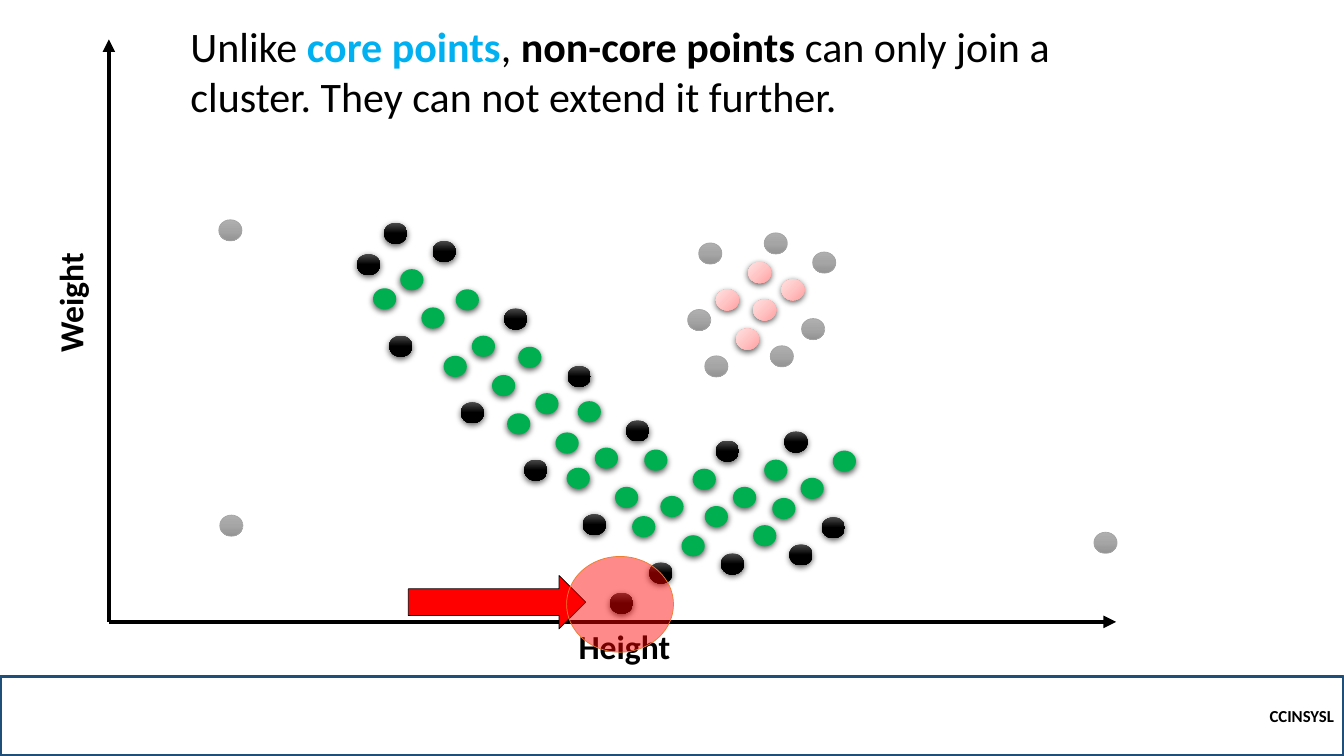
from dataclasses import dataclass

import lxml.etree
import pptx
import pptx.dml.color
import pptx.enum.shapes
import pptx.enum.text
import pptx.oxml.ns
import pptx.util
from pptx.util import Inches

SHAPES = pptx.enum.shapes.MSO_SHAPE
ALIGN = pptx.enum.text.PP_ALIGN
qn = pptx.oxml.ns.qn


@dataclass(frozen=True)
class Theme:
    font: str = "Calibri"
    black: str = "000000"
    core_blue: str = "00B0F0"
    red: str = "FF0000"
    orange: str = "ED7D31"
    navy: str = "1F4E79"
    title_size: float = 30
    label_size: float = 24
    footer_size: float = 12
    axis_width: float = 3
    thin_width: float = 0.5


@dataclass(frozen=True)
class DotStyle:
    """One colour is a solid fill; three make a gradient at a clockwise angle."""
    colors: tuple
    angle: float = 90
    line: str = ""


THEME = Theme()
DOT_WIDTH, DOT_HEIGHT = 0.23, 0.21

CORE = DotStyle(("00B050",))
NON_CORE = DotStyle(("4B4B4B", "000000", "000000"))
OTHER_CORE = DotStyle(("FFA0A0", "FFC5C5", "FFE3E3"), angle=225)
UNASSIGNED = DotStyle(("AFAFAF", "A5A5A5", "939393"), line="A5A5A5")

# Left and top of every dot
DOTS = [
    (CORE, [
        (3.97, 2.67), (3.7, 2.86), (4.18, 3.05), (4.52, 2.87), (4.68, 3.33),
        (4.4, 3.53), (4.88, 3.72), (5.14, 3.44), (5.31, 3.9), (5.03, 4.1),
        (5.51, 4.29), (5.73, 3.98), (5.9, 4.44), (5.62, 4.64), (6.1, 4.83),
        (6.39, 4.46), (6.55, 4.92), (6.87, 4.65), (6.27, 5.12), (6.76, 5.31),
        (7.27, 4.83), (7.58, 4.56), (6.99, 5.02), (7.47, 5.21), (7.94, 4.74),
        (8.26, 4.47), (7.66, 4.94),
    ]),
    (NON_CORE, [
        (3.81, 2.21), (4.29, 2.39), (3.54, 2.52), (3.86, 3.33), (5, 3.06),
        (4.57, 3.99), (5.63, 3.63), (5.2, 4.56), (6.21, 4.17), (5.78, 5.1),
        (6.44, 5.58), (7.1, 4.37), (7.15, 5.49), (7.78, 4.28), (7.83, 5.4),
        (8.15, 5.13),
    ]),
    (OTHER_CORE, [
        (7.1, 2.87), (7.42, 2.6), (7.3, 3.26), (7.75, 2.77), (7.47, 2.97),
    ]),
    (UNASSIGNED, [
        (6.93, 2.41), (6.82, 3.07), (6.99, 3.53), (7.58, 2.31), (8.06, 2.5),
        (7.64, 3.43), (7.95, 3.16), (2.17, 2.18), (2.18, 5.11), (10.85, 5.28),
    ]),
]
JOINING_DOT = (6.05, 5.88)


def rgb(color):
    return pptx.dml.color.RGBColor.from_string(color)


def add_xml(parent, tag, **attributes):
    return lxml.etree.SubElement(parent, qn(tag), attributes)


def add_shape(slide, kind, left, top, width, height, fill="", line="", line_width=THEME.thin_width):
    shape = slide.shapes.add_shape(
        kind, Inches(left), Inches(top), Inches(width), Inches(height))
    shape.shadow.inherit = False
    if fill:
        shape.fill.solid()
        shape.fill.fore_color.rgb = rgb(fill)
    else:
        shape.fill.background()
    if line:
        shape.line.color.rgb = rgb(line)
        shape.line.width = pptx.util.Pt(line_width)
    else:
        shape.line.fill.background()
    return shape


def set_gradient(shape, colors, angle):
    shape.fill.gradient()
    shape.fill.gradient_angle = 360 - angle
    stops = shape.element.spPr.find(qn("a:gradFill")).find(qn("a:gsLst"))
    for stop in list(stops):
        stops.remove(stop)
    for index, color in enumerate(colors):
        stop = add_xml(stops, "a:gs", pos=str(index * 50000))
        add_xml(stop, "a:srgbClr", val=color)


def add_soft_shadow(shape):
    effects = shape.element.spPr.find(qn("a:effectLst"))
    shadow = add_xml(effects, "a:outerShdw", blurRad=str(pptx.util.Pt(4.5)),
                     dist=str(pptx.util.Pt(1.5)), dir="5400000", rotWithShape="0")
    color = add_xml(shadow, "a:srgbClr", val=THEME.black)
    add_xml(color, "a:alpha", val="63000")


def add_dot(slide, position, style):
    dot = add_shape(slide, SHAPES.OVAL, *position, DOT_WIDTH, DOT_HEIGHT,
                    fill=style.colors[0], line=style.line)
    if len(style.colors) > 1:
        set_gradient(dot, style.colors, style.angle)
    if not style.line:
        add_soft_shadow(dot)


def add_axis(slide, start, end):
    axis = slide.shapes.add_connector(
        pptx.enum.shapes.MSO_CONNECTOR.STRAIGHT, *map(Inches, start + end))
    axis.line.color.rgb = rgb(THEME.black)
    axis.line.width = pptx.util.Pt(THEME.axis_width)
    properties = axis.element.spPr
    add_xml(properties.find(qn("a:ln")), "a:tailEnd", type="triangle")
    add_xml(properties, "a:effectLst")


def add_run(paragraph, text, size, bold=False, color=THEME.black):
    run = paragraph.add_run()
    run.text = text
    run.font.name = THEME.font
    run.font.size = pptx.util.Pt(size)
    run.font.bold = bold
    run.font.color.rgb = rgb(color)


def add_text_box(slide, left, top, width, height, wrap):
    """Add an empty text box that grows with its text."""
    box = slide.shapes.add_textbox(Inches(left), Inches(top), Inches(width), Inches(height))
    box.text_frame.word_wrap = wrap
    box.text_frame.auto_size = pptx.enum.text.MSO_AUTO_SIZE.SHAPE_TO_FIT_TEXT
    return box


def add_axis_label(slide, text, left, top, width, rotation=0):
    box = add_text_box(slide, left, top, width, 0.5, wrap=False)
    box.rotation = rotation
    add_run(box.text_frame.paragraphs[0], text, THEME.label_size, bold=True)


def add_statement(slide):
    box = add_text_box(slide, 1.79, 0.15, 9.28, 1.11, wrap=True)
    paragraph = box.text_frame.paragraphs[0]
    size = THEME.title_size
    add_run(paragraph, "Unlike ", size)
    add_run(paragraph, "core points", size, bold=True, color=THEME.core_blue)
    add_run(paragraph, ", ", size)
    add_run(paragraph, "non-core points", size, bold=True)
    add_run(paragraph, " can only join a cluster. They can not extend it further.", size)


def add_footer(slide):
    footer = add_shape(slide, SHAPES.RECTANGLE, 0, 6.71, 13.33, 0.79,
                       line=THEME.navy, line_width=2.25)
    footer.text_frame.vertical_anchor = pptx.enum.text.MSO_ANCHOR.MIDDLE
    paragraph = footer.text_frame.paragraphs[0]
    paragraph.alignment = ALIGN.RIGHT
    add_run(paragraph, "CCINSYSL", THEME.footer_size, bold=True)


def add_neighbourhood(slide):
    circle = add_shape(slide, SHAPES.OVAL, 5.62, 5.52, 1.06, 0.95,
                       fill=THEME.red, line=THEME.orange)
    color = circle.element.spPr.find(qn("a:solidFill")).find(qn("a:srgbClr"))
    add_xml(color, "a:alpha", val="46000")


def main():
    presentation = pptx.Presentation()
    presentation.slide_width = Inches(13.33)
    presentation.slide_height = Inches(7.5)
    slide = presentation.slides.add_slide(presentation.slide_layouts[6])

    add_footer(slide)
    axis_corner = (1.08, 6.17)
    add_axis(slide, axis_corner, (11.07, 6.17))
    add_axis(slide, axis_corner, (1.08, 0.39))
    for style, positions in DOTS:
        for position in positions:
            add_dot(slide, position, style)
    add_axis_label(slide, "Height", 5.64, 6.16, 1.17)
    add_axis_label(slide, "Weight", 0.1, 2.75, 1.19, rotation=270)
    add_statement(slide)
    add_dot(slide, JOINING_DOT, NON_CORE)
    add_shape(slide, SHAPES.RIGHT_ARROW, 4.05, 5.71, 1.76, 0.53,
              fill=THEME.red, line=THEME.black)
    add_neighbourhood(slide)

    presentation.save("out.pptx")


if __name__ == "__main__":
    main()
